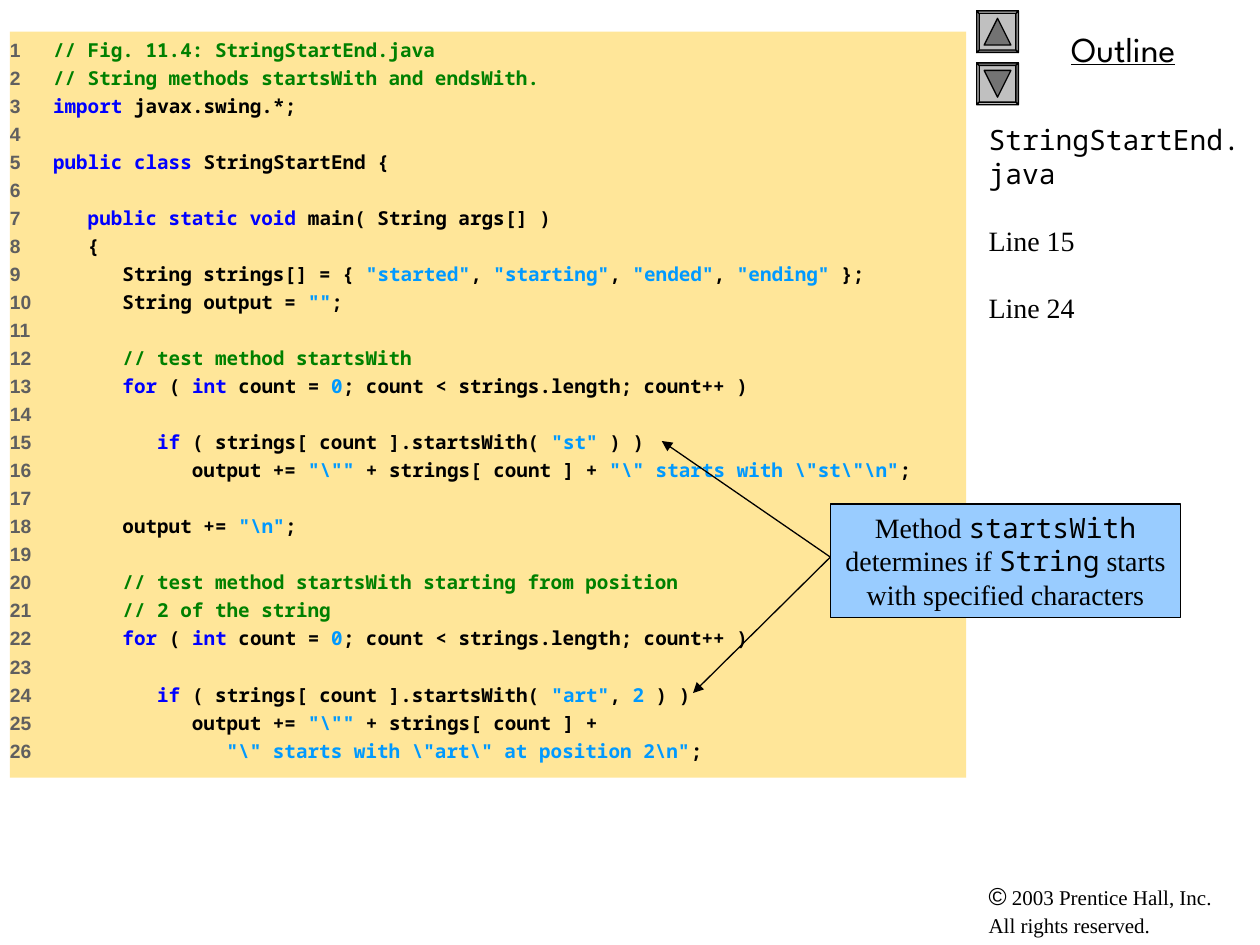
from lxml import etree
from pptx import Presentation
from pptx import util as u
from pptx.dml.color import RGBColor
from pptx.enum import shapes, text
from pptx.oxml import ns

BLACK = RGBColor(0x00, 0x00, 0x00)
GREY = RGBColor(0x5F, 0x5F, 0x5F)
GREEN = RGBColor(0x00, 0x80, 0x00)
BLUE = RGBColor(0x00, 0x00, 0xFF)
SKY = RGBColor(0x00, 0x99, 0xFF)
SAND = RGBColor(0xFF, 0xE6, 0x99)
PALE_BLUE = RGBColor(0x99, 0xCC, 0xFF)
SILVER = RGBColor(0xC0, 0xC0, 0xC0)
LIGHT = RGBColor(0xD9, 0xD9, 0xD9)
LESS_LIGHT = RGBColor(0xCD, 0xCD, 0xCD)
DARK = RGBColor(0x73, 0x73, 0x73)
LESS_DARK = RGBColor(0x9A, 0x9A, 0x9A)

SERIF, SANS, MONO, TITLE = "Times New Roman", "Arial", "Noto Sans Mono", "League Spartan"

# Code colours: c comment, k keyword, v literal value, p plain
CODE_COLORS = {"c": GREEN, "k": BLUE, "v": SKY, "p": BLACK}
FOR_LINE = [("k", "      for"), ("p", " ( "), ("k", "int"), ("p", " count = "), ("v", "0"),
            ("p", "; count < strings.length; count++ )")]
IF_START = [("k", "         if"), ("p", " ( strings[ count ].startsWith( ")]
OUTPUT_START = [("p", "            output += "), ("v", r'"\""')]
CODE = [
    [("c", "// Fig. 11.4: StringStartEnd.java")],
    [("c", "// String methods startsWith and endsWith.")],
    [("k", "import"), ("p", " javax.swing.*;")],
    [],
    [("k", "public class"), ("p", " StringStartEnd {")],
    [],
    [("k", "   public static void"), ("p", " main( String args[] )")],
    [("p", "   {")],
    [("p", "      String strings[] = { "), ("v", '"started"'), ("p", ", "), ("v", '"starting"'),
     ("p", ", "), ("v", '"ended"'), ("p", ", "), ("v", '"ending"'), ("p", " };")],
    [("p", "      String output = "), ("v", '""'), ("p", ";")],
    [],
    [("c", "      // test method startsWith")],
    FOR_LINE,
    [],
    IF_START + [("v", '"st"'), ("p", " ) )")],
    OUTPUT_START + [("p", " + strings[ count ] + "), ("v", r'"\" starts with \"st\"\n"'),
                    ("p", ";")],
    [],
    [("p", "      output += "), ("v", r'"\n"'), ("p", ";")],
    [],
    [("c", "      // test method startsWith starting from position")],
    [("c", "      // 2 of the string")],
    FOR_LINE,
    [],
    IF_START + [("v", '"art"'), ("p", ", "), ("v", "2"), ("p", " ) )")],
    OUTPUT_START + [("p", " + strings[ count ] +")],
    [("v", r'               "\" starts with \"art\" at position 2\n"'), ("p", ";")],
]


class Deck:
    """Holds the line style and the current slide."""

    line_width = u.Pt(0.75)
    line_color = BLACK

    def __init__(self, s):
        self.s = s

    def outline(self, line):
        line.color.rgb = self.line_color
        line.width = self.line_width

    def frame(self, sp, left_inset=0.25):
        tf = sp.text_frame
        tf.word_wrap = True
        tf.vertical_anchor = text.MSO_ANCHOR.TOP
        tf.margin_left, tf.margin_right = u.Cm(left_inset), u.Cm(0.25)
        tf.margin_top = tf.margin_bottom = u.Cm(0.13)
        return tf

    def textbox(self, x, y, w, h):
        return self.frame(self.s.shapes.add_textbox(u.Cm(x), u.Cm(y), u.Cm(w), u.Cm(h)))

    def rect(self, x, y, w, h, fill, outlined=False, left_inset=0.25):
        sp = self.s.shapes.add_shape(shapes.MSO_SHAPE.RECTANGLE,
                                     u.Cm(x), u.Cm(y), u.Cm(w), u.Cm(h))
        sp.shadow.inherit = False
        sp.fill.solid()
        sp.fill.fore_color.rgb = fill
        if outlined:
            self.outline(sp.line)
        else:
            sp.line.fill.background()
        return self.frame(sp, left_inset)

    def paragraph(self, tf, runs, spacing, before=0, align=text.PP_ALIGN.LEFT, tab=None):
        """Fill the next paragraph with runs of (text, font, size, colour)."""
        p = tf.paragraphs[0]
        if p.runs:
            p = tf.add_paragraph()
            p.space_before = u.Pt(before)
        if tab:
            tabs = etree.SubElement(p._p.get_or_add_pPr(), ns.qn("a:tabLst"))
            etree.SubElement(tabs, ns.qn("a:tab"), pos=str(u.Cm(tab)), algn="l")
        p.alignment = align
        p.line_spacing = spacing
        for words, name, size, color in runs:
            r = p.add_run()
            r.text = words
            r.font.name, r.font.size = name, u.Pt(size)
            r.font.color.rgb = color
        return p

    def arrow(self, x1, y1, x2, y2):
        c = self.s.shapes.add_connector(shapes.MSO_CONNECTOR.STRAIGHT,
                                        u.Cm(x1), u.Cm(y1), u.Cm(x2), u.Cm(y2))
        self.outline(c.line)
        etree.SubElement(c.line._get_or_add_ln(), ns.qn("a:tailEnd"), type="triangle")
        etree.SubElement(c._element.spPr, ns.qn("a:effectLst"))

    def arrow_button(self, cx, cy, turn):
        """Draw a bevelled button; turn is 1 for up and -1 for down."""
        outer, inner, tip = 0.42, 0.37, 0.27
        corners = [(1, -1), (1, 1), (-1, 1), (-1, -1)]
        parts = [([(a * outer, b * outer) for a, b in corners], SILVER)]
        for i, shade in enumerate((LESS_LIGHT, DARK, LESS_DARK, LIGHT)):
            (a, b), (c, d) = corners[i], corners[(i + 1) % 4]
            parts.append(([(a * outer, b * outer), (c * outer, d * outer),
                           (c * inner, d * inner), (a * inner, b * inner)], shade))
        parts.append(([(0, -tip), (tip, tip), (-tip, tip)], DARK))
        group = self.s.shapes.add_group_shape()
        for points, fill in parts:
            pts = [(u.Cm(cx + turn * x), u.Cm(cy + turn * y)) for x, y in points]
            builder = group.shapes.build_freeform(*pts[0])
            builder.add_line_segments(pts[1:], close=True)
            sp = builder.convert_to_shape()
            sp.shadow.inherit = False
            sp.fill.solid()
            sp.fill.fore_color.rgb = fill
            self.outline(sp.line)


def main():
    prs = Presentation()
    prs.slide_width, prs.slide_height = u.Cm(25.4), u.Cm(19.05)
    deck = Deck(prs.slides.add_slide(prs.slide_layouts[6]))
    center = text.PP_ALIGN.CENTER

    copyright_box = deck.textbox(19.68, 17.58, 5.51, 1.37)
    deck.paragraph(copyright_box, [("©", SANS, 14, BLACK)], 1.08)
    p = copyright_box.paragraphs[0]
    for i, words in enumerate((" 2003 Prentice Hall, Inc.", "All rights reserved.")):
        if i:
            p.add_line_break()
        deck_run = p.add_run()
        deck_run.text = words
        deck_run.font.name, deck_run.font.size = SERIF, u.Pt(12)
        deck_run.font.color.rgb = BLACK

    heading = deck.textbox(19.89, 0.43, 5.51, 1.12)
    p = deck.paragraph(heading, [("Outline", TITLE, 20, BLACK)], u.Pt(24), align=center)
    p.runs[0].font.underline = True

    deck.arrow_button(20.11, 0.64, 1)
    deck.arrow_button(20.11, 1.69, -1)

    side = deck.textbox(19.68, 2.34, 5.72, 15.24)
    for words, name in (("StringStartEnd.java", MONO), ("Line 15", SERIF), ("Line 24", SERIF)):
        deck.paragraph(side, [(words, name, 16, BLACK)], u.Pt(19.2), before=19.2)

    listing = deck.rect(0.2, 0.64, 19.28, 15.04, SAND, left_inset=0)
    for number, parts in enumerate(CODE, 1):
        label = f"{number}\t" if parts else str(number)
        runs = [(label, SANS, 11, GREY)]
        runs += [(words, MONO, 11, CODE_COLORS[kind]) for kind, words in parts]
        p = deck.paragraph(listing, runs, u.Pt(13.2), before=2.8, tab=0.87)
        for r in p.runs:
            r.font.bold = True

    callout = deck.rect(16.74, 10.16, 7.06, 2.29, PALE_BLUE, outlined=True)
    sentence = (("Method ", SERIF), ("startsWith", MONO), (" determines if ", SERIF),
                ("String", MONO), (" starts with specified characters", SERIF))
    deck.paragraph(callout, [(words, name, 16, BLACK) for words, name in sentence],
                   u.Pt(19.2), align=center)
    for x, y in ((13.34, 8.89), (13.97, 13.97)):
        deck.arrow(16.74, 11.23, x, y)

    prs.save("out.pptx")


if __name__ == "__main__":
    main()
